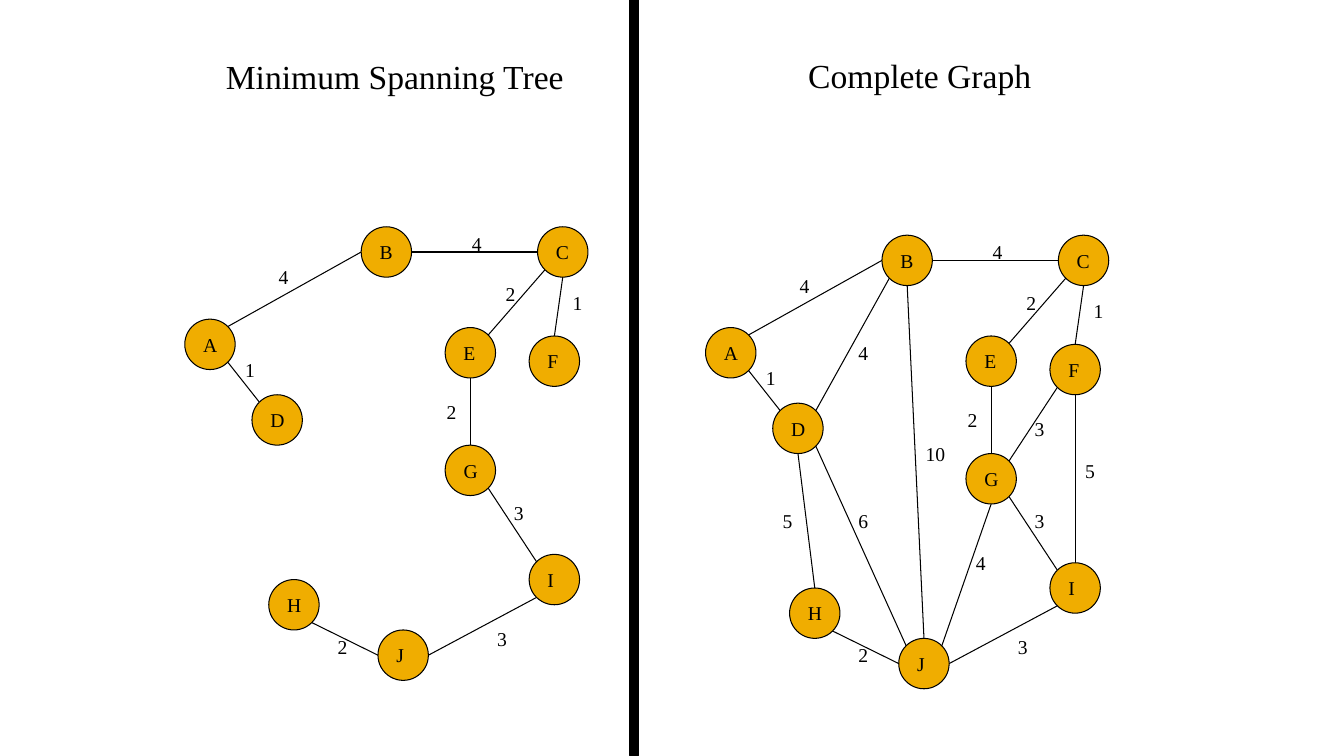
from dataclasses import dataclass
from math import cos, radians, sin

from lxml.etree import SubElement
from pptx import Presentation
from pptx.dml.color import RGBColor as Color
from pptx.enum.shapes import MSO_CONNECTOR as Link, MSO_SHAPE as Shape
from pptx.enum.text import MSO_ANCHOR as Anchor, MSO_AUTO_SIZE as Fit, PP_ALIGN as Align
from pptx.oxml.ns import qn
from pptx.util import Pt

PX = 9525  # EMU per px, 96 px to the inch


@dataclass(frozen=True)
class Theme:
    ink: Color = Color(0x00, 0x00, 0x00)
    gold: Color = Color(0xF0, 0xAD, 0x00)
    font: str = "Times New Roman"
    head: int = 24
    body: int = 14
    line: float = 0.75


THEME = Theme()
SIZE = 48  # node diameter
TALL = 32  # label height
PORTS = ("N", "NW", "W", "SW", "S", "SE", "E", "NE")

# name: left, top, label width
NODES = {
    "A": (176, 304, 33), "B": (344, 216, 32), "C": (512, 216, 32),
    "D": (240, 376, 33), "E": (424, 312, 31), "F": (504, 320, 30),
    "G": (424, 424, 33), "H": (256, 552, 33), "I": (504, 528, 26),
    "J": (360, 600, 27),
}

# node, port, node, port, weight, left and top of the weight
TREE = [
    ("A", "NE", "B", "W", "4", 256, 248),
    ("A", "SE", "D", "NW", "1", 224, 336),
    ("B", "E", "C", "W", "4", 440, 216),
    ("C", "SW", "E", "NE", "2", 472, 264),
    ("C", "S", "F", "N", "1", 536, 272),
    ("E", "S", "G", "N", "2", 416, 376),
    ("G", "SE", "I", "NW", "3", 480, 472),
    ("J", "E", "I", "SW", "3", 464, 592),
    ("J", "W", "H", "SE", "2", 312, 600),
]
EXTRA = [
    ("B", "SW", "D", "NE", "4", 312, 312),
    ("B", "S", "J", "N", "10", 376, 408),
    ("D", "S", "H", "N", "5", 240, 472),
    ("D", "SE", "J", "NW", "6", 312, 472),
    ("F", "SW", "G", "NE", "3", 480, 384),
    ("F", "S", "I", "N", "5", 528, 424),
    ("G", "S", "J", "NE", "4", 424, 512),
]


def scale(*sides):
    return [side * PX for side in sides]


def write(shape, text, size=THEME.body, align=Align.LEFT, wrap=False):
    frame = shape.text_frame
    frame.word_wrap = wrap
    frame.auto_size = Fit.SHAPE_TO_FIT_TEXT
    frame.vertical_anchor = Anchor.TOP
    para = frame.paragraphs[0]
    para.alignment = align
    run = para.add_run()
    run.text = text
    run.font.name = THEME.font
    run.font.size = Pt(size)
    run.font.color.rgb = THEME.ink


def label(slide, text, x, y, wide):
    write(slide.shapes.add_textbox(*scale(x, y, wide, TALL)), text)


def header(shape, text, x, y, wide, tall):
    shape.left, shape.top, shape.width, shape.height = scale(x, y, wide, tall)
    write(shape, text, size=THEME.head, align=Align.CENTER, wrap=True)


def solid(slide, kind, fill, x, y, wide, tall):
    shape = slide.shapes.add_shape(kind, *scale(x, y, wide, tall))
    shape.shadow.inherit = False
    shape.fill.solid()
    shape.fill.fore_color.rgb = fill
    shape.line.color.rgb = THEME.ink
    shape.line.width = Pt(THEME.line)


def point(name, port):
    """Give the place on a node's rim that faces the compass port."""
    x, y, _ = NODES[name]
    turn = radians(45 * PORTS.index(port))
    half = SIZE / 2
    return round(x + half - half * sin(turn)), round(y + half - half * cos(turn))


def edge(slide, start, end):
    line = slide.shapes.add_connector(Link.STRAIGHT, *scale(*start, *end))
    line.line.color.rgb = THEME.ink
    line.line.width = Pt(THEME.line)
    SubElement(line._element.spPr, qn("a:effectLst"))


def graph(slide, edges, dx=0, dy=0):
    """Draw all nodes and the given edges, moved by dx and dy."""
    for one, exit, two, entry, weight, x, y in edges:
        ends = [(px + dx, py + dy) for px, py in (point(one, exit), point(two, entry))]
        edge(slide, *ends)
        label(slide, weight, x + dx, y + dy, 20 + 9 * len(weight))
    for name, (x, y, wide) in NODES.items():
        solid(slide, Shape.OVAL, THEME.gold, x + dx, y + dy, SIZE, SIZE)
        label(slide, name, x + dx + 8, y + dy + 8, wide)


def main():
    deck = Presentation()
    deck.slide_width, deck.slide_height = scale(1280, 720)
    slide = deck.slides.add_slide(deck.slide_layouts[5])
    header(slide.shapes.title, "Minimum Spanning Tree", 192, 48, 368, 48)
    second = slide.shapes.add_textbox(0, 0, 0, 0)
    header(second, "Complete Graph", 736, 48, 280, 48)
    solid(slide, Shape.RECTANGLE, THEME.ink, 600, 0, 8, 720)
    graph(slide, TREE)
    graph(slide, TREE + EXTRA, dx=496, dy=8)
    deck.save("out.pptx")


if __name__ == "__main__":
    main()
